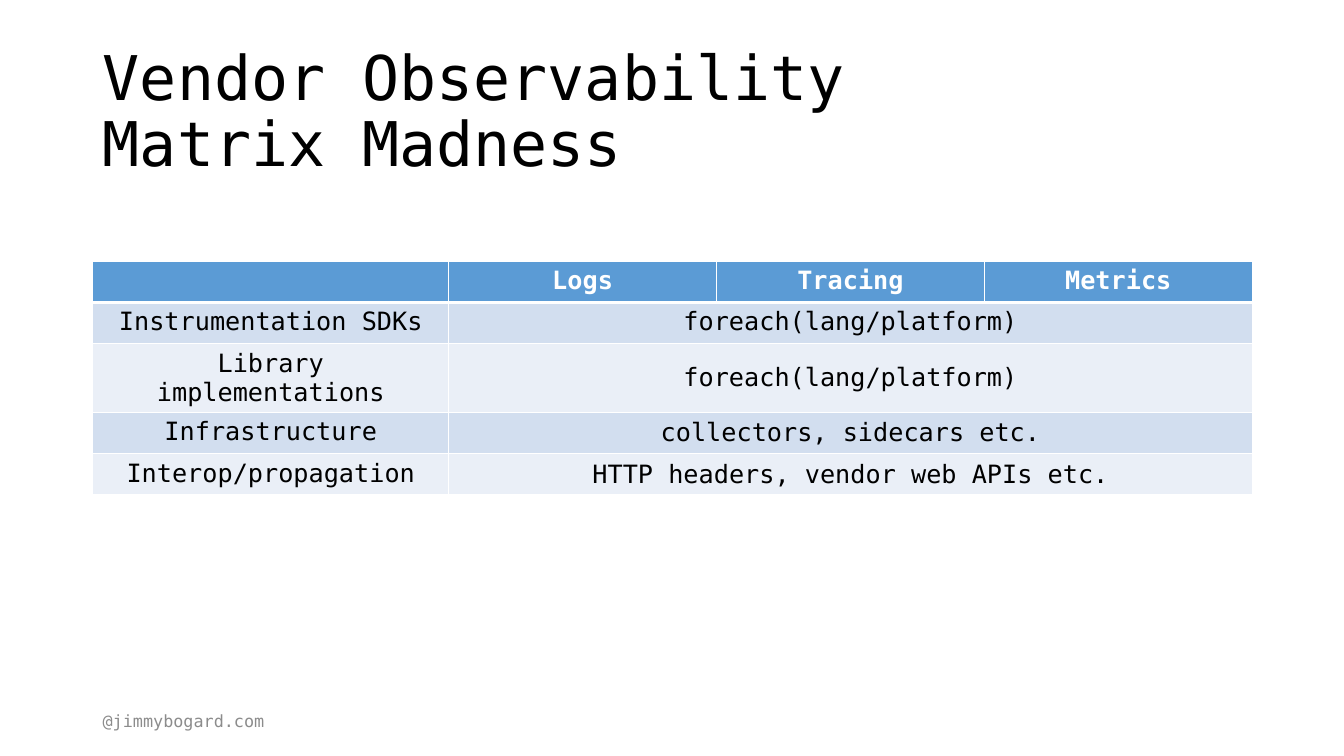
"""Build the vendor observability matrix slide."""
from lxml.etree import SubElement
from pptx import Presentation
from pptx.dml.color import RGBColor
from pptx.enum.text import MSO_ANCHOR, MSO_AUTO_SIZE, PP_ALIGN
from pptx.oxml.ns import qn
from pptx.util import Inches, Pt

TITLE = "Vendor Observability\vMatrix Madness"
HANDLE = "@jimmybogard.com"
SIGNALS = ["", "Logs", "Tracing", "Metrics"]
CONCERNS = [
    ("Instrumentation SDKs", "foreach(lang/platform)"),
    ("Library implementations", "foreach(lang/platform)"),
    ("Infrastructure", "collectors, sidecars etc."),
    ("Interop/propagation", "HTTP headers, vendor web APIs etc."),
]

FONT = "DejaVu Sans Mono"
WHITE, BLACK, GREY = "FFFFFF", "000000", "8C8C8C"
HEADER_FILL, BANDS = "5B9BD5", ("D2DEEF", "EAEFF7")
SLIDE_WIDTH, SLIDE_HEIGHT = 13.33, 7.5
MARGIN, CONTENT_WIDTH = 0.92, 11.5
LABEL_WIDTH, ROW_HEIGHT = 3.53, 0.41
SIGNAL_WIDTH = (CONTENT_WIDTH - LABEL_WIDTH) / (len(SIGNALS) - 1)

TITLE_FORMAT = {"size": Pt(44), "bold": False}
HANDLE_FORMAT = {"size": Pt(12), "bold": False}
HEADER_FORMAT = {"size": Pt(18), "bold": True}
BODY_FORMAT = {"size": Pt(18), "bold": False}


def color(value):
    return RGBColor.from_string(value)


def write(text_frame, text, values, text_color, align=PP_ALIGN.LEFT):
    text_frame.word_wrap = True
    text_frame.text = text
    paragraph = text_frame.paragraphs[0]
    paragraph.alignment = align
    for name, value in {"name": FONT, **values}.items():
        setattr(paragraph.font, name, value)
    paragraph.font.color.rgb = color(text_color)
    return paragraph


def set_borders(cell, **widths):
    properties = cell._tc.get_or_add_tcPr()
    for side in ("L", "R", "T", "B"):
        width = Pt(widths.get(side, 1))
        line = SubElement(properties, qn(f"a:ln{side}"), w=str(width))
        fill = SubElement(line, qn("a:solidFill"))
        SubElement(fill, qn("a:srgbClr"), val=WHITE)


def paint(cell, fill):
    cell.fill.solid()
    cell.fill.fore_color.rgb = color(fill)


def add_title(slide):
    title = slide.shapes.title
    title.left, title.top = Inches(MARGIN), Inches(0.4)
    title.width, title.height = Inches(CONTENT_WIDTH), Inches(1.45)
    frame = title.text_frame
    frame.auto_size = MSO_AUTO_SIZE.NONE
    frame.vertical_anchor = MSO_ANCHOR.MIDDLE
    write(frame, TITLE, TITLE_FORMAT, BLACK).line_spacing = 0.9


def add_matrix(slide):
    row_count = len(CONCERNS) + 1
    table = slide.shapes.add_table(
        row_count, len(SIGNALS), Inches(MARGIN), Inches(2.59),
        Inches(CONTENT_WIDTH), Inches(ROW_HEIGHT * row_count)).table
    for index, column in enumerate(table.columns):
        column.width = Inches(SIGNAL_WIDTH if index else LABEL_WIDTH)

    for index, signal in enumerate(SIGNALS):
        cell = table.cell(0, index)
        set_borders(cell, B=3)
        paint(cell, HEADER_FILL)
        write(cell.text_frame, signal, HEADER_FORMAT, WHITE, PP_ALIGN.CENTER)

    for row, texts in enumerate(CONCERNS, start=1):
        for index in range(len(SIGNALS)):
            cell = table.cell(row, index)
            set_borders(cell, T=3 if row == 1 else 1)
            paint(cell, BANDS[(row - 1) % len(BANDS)])
        table.cell(row, 1).merge(table.cell(row, len(SIGNALS) - 1))
        for index, text in enumerate(texts):
            write(table.cell(row, index).text_frame, text, BODY_FORMAT, BLACK, PP_ALIGN.CENTER)
        if row > 1:
            table.cell(row, 1).vertical_anchor = MSO_ANCHOR.MIDDLE


def add_handle(slide):
    box = slide.shapes.add_textbox(Inches(MARGIN), Inches(6.95), Inches(3), Inches(0.4))
    box.text_frame.vertical_anchor = MSO_ANCHOR.MIDDLE
    write(box.text_frame, HANDLE, HANDLE_FORMAT, GREY)


def main():
    presentation = Presentation()
    presentation.slide_width = Inches(SLIDE_WIDTH)
    presentation.slide_height = Inches(SLIDE_HEIGHT)
    slide = presentation.slides.add_slide(presentation.slide_layouts.get_by_name("Title Only"))
    add_title(slide)
    add_matrix(slide)
    add_handle(slide)
    presentation.save("out.pptx")


if __name__ == "__main__":
    main()
